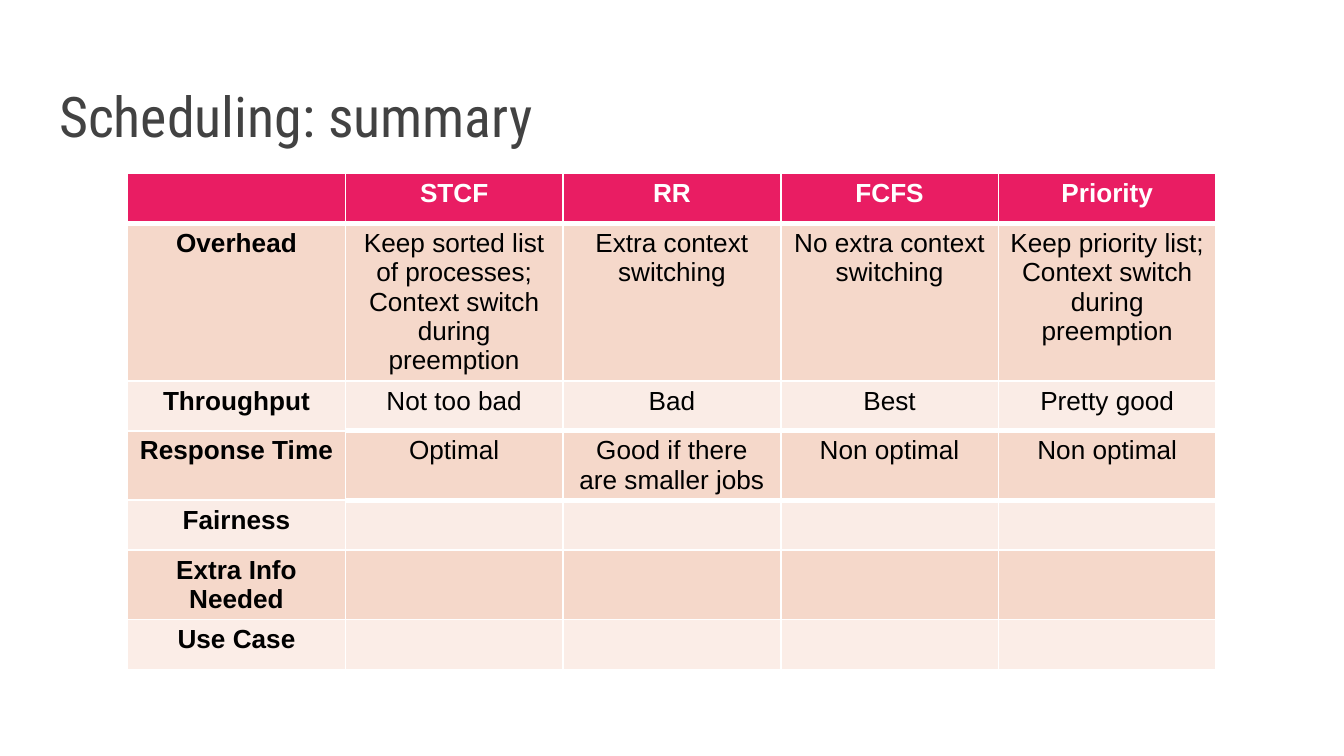
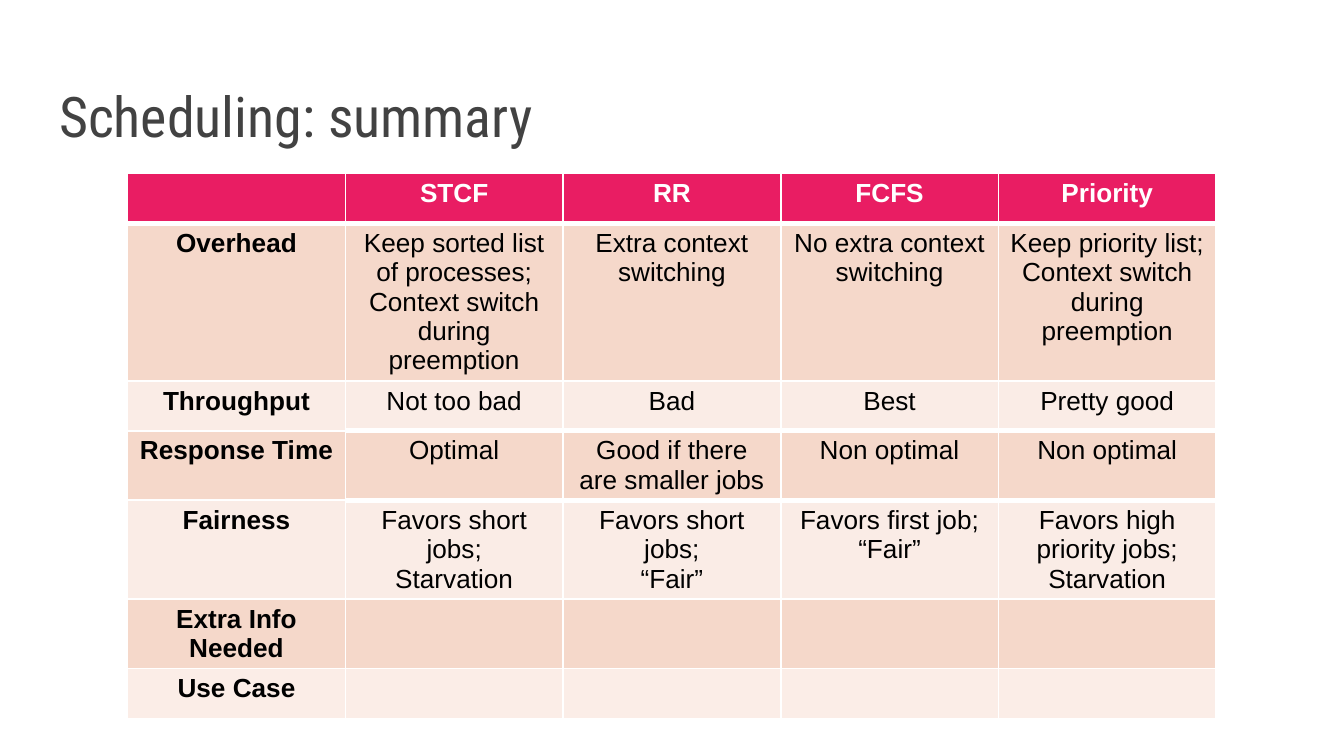
from lxml.etree import SubElement
from pptx import Presentation
from pptx.dml.color import RGBColor
from pptx.enum.text import MSO_ANCHOR, MSO_AUTO_SIZE, PP_ALIGN
from pptx.oxml.ns import qn
from pptx.util import Inches, Pt

# Style
PINK = RGBColor(0xE9, 0x1D, 0x63)
PEACH = RGBColor(0xF5, 0xD8, 0xCA)
PALE = RGBColor(0xFA, 0xEC, 0xE6)
LAST = RGBColor(0xFB, 0xED, 0xE7)
GREY = RGBColor(0x42, 0x42, 0x42)
BLACK = RGBColor(0, 0, 0)
WHITE = RGBColor(0xFF, 0xFF, 0xFF)
HEAD, BODY = "Roboto Condensed", "Arial"

# Slide size, cut into a grid of 100 columns by 100 rows
WIDE, HIGH = Inches(10), Inches(5.625)
COL_WIDE, ROW_HIGH, TALL_ROW = 16.2, 6.6, 11.4
THIN, THICK = 1, 3

# Content
TITLE = "Scheduling: summary"
TOP = [
    ["", "STCF", "RR", "FCFS", "Priority"],
    ["Overhead",
     "Keep sorted list of processes;\nContext switch during preemption",
     "Extra context switching", "No extra context switching",
     "Keep priority list; Context switch during preemption"],
    ["Throughput", "Not too bad", "Bad", "Best", "Pretty good"],
    ["Response Time", "Optimal", "Good if there are smaller jobs",
     "Non optimal", "Non optimal"],
]
FAIR = ["Favors short jobs;\nStarvation", "Favors short jobs;\n“Fair”",
        "Favors first job;\n“Fair”", "Favors high priority jobs; Starvation"]
BLANK = [""] * 4


def write(frame, text, size=14, font=BODY, color=BLACK, bold=False,
          align=PP_ALIGN.CENTER):
    """Fill a text frame, one paragraph a line, in one format."""
    frame.text = text
    for para in frame.paragraphs:
        para.alignment = align
        for run in para.runs:
            run.font.size = Pt(size)
            run.font.name = font
            run.font.bold = bold
            run.font.color.rgb = color
        if not para.runs:
            end = para._p.get_or_add_endParaRPr()
            end.set("sz", str(size * 100))


def edge(cell, side, width):
    """Draw one white cell border."""
    line = SubElement(cell._tc.get_or_add_tcPr(), qn(f"a:ln{side}"),
                      w=str(Pt(width)))
    fill = SubElement(line, qn("a:solidFill"))
    SubElement(fill, qn("a:srgbClr"), val=str(WHITE))


class Deck:
    def __init__(self):
        self.show = Presentation()
        self.show.slide_width, self.show.slide_height = WIDE, HIGH
        self.slide = None

    def x(self, cols):
        return round(WIDE * cols / 100)

    def y(self, rows):
        return round(HIGH * rows / 100)

    def start(self, title):
        """Add a slide with its title."""
        self.slide = self.show.slides.add_slide(self.show.slide_layouts[5])
        box = self.slide.shapes.title
        box.left, box.top = self.x(3.4), self.y(7.3)
        box.width, box.height = self.x(93.2), self.y(14.2)
        frame = box.text_frame
        frame.auto_size = MSO_AUTO_SIZE.NONE
        frame.vertical_anchor = MSO_ANCHOR.BOTTOM
        frame.margin_left = frame.margin_right = Inches(0.1)
        frame.margin_top = frame.margin_bottom = Inches(0.1)
        write(frame, title, size=30, font=HEAD, color=GREY,
              align=PP_ALIGN.LEFT)

    def table(self, data):
        """Add the banded comparison table."""
        count, wide = len(data), len(data[0])
        grid = self.slide.shapes.add_table(
            count, wide, self.x(9.5), self.y(22.95),
            self.x(COL_WIDE * wide), self.y(ROW_HIGH * count)).table
        grid.first_row = grid.horz_banding = False
        for r, row in enumerate(data):
            grid.rows[r].height = self.y(TALL_ROW if r == 1 else ROW_HIGH)
            for c, text in enumerate(row):
                self.cell(grid.cell(r, c), text, r, c, r == count - 1)

    def cell(self, cell, text, r, c, last):
        """Fill and format one table cell."""
        cell.margin_left = cell.margin_right = Inches(0.08)
        cell.margin_top = cell.margin_bottom = Inches(0.04)
        # Heavy rules: under the header, and around the response values
        heavy = {0} if c == 0 else {0, 2, 3}
        edge(cell, "L", THIN)
        edge(cell, "R", THIN)
        edge(cell, "T", THICK if r - 1 in heavy else THIN)
        edge(cell, "B", THICK if r in heavy else THIN)
        band = PEACH if r % 2 else PALE
        cell.fill.solid()
        cell.fill.fore_color.rgb = PINK if r == 0 else LAST if last else band
        write(cell.text_frame, text, bold=r == 0 or c == 0,
              color=BLACK if r else WHITE)


def main():
    deck = Deck()
    # The second slide adds the fairness row
    for fair in (BLANK, FAIR):
        deck.start(TITLE)
        deck.table(TOP + [["Fairness", *fair],
                          ["Extra Info Needed", *BLANK],
                          ["Use Case", *BLANK]])
    deck.show.save("out.pptx")


if __name__ == "__main__":
    main()
